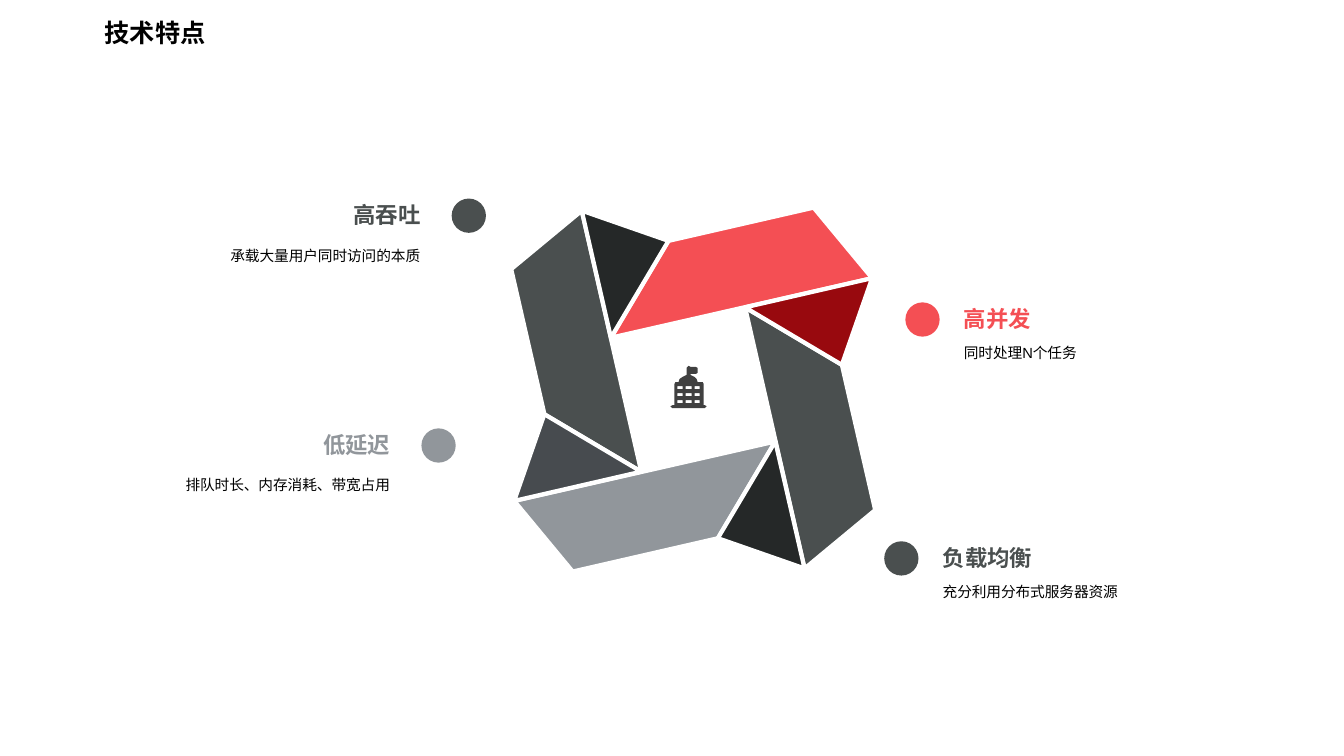
from dataclasses import dataclass
from itertools import product

from lxml import etree
from pptx import Presentation
from pptx.dml.color import RGBColor
from pptx.enum.shapes import MSO_SHAPE
from pptx.enum.text import MSO_ANCHOR, PP_ALIGN
from pptx.oxml.ns import qn
from pptx.util import Inches, Pt

OVAL = MSO_SHAPE.OVAL
TOP, MIDDLE, BOTTOM = MSO_ANCHOR.TOP, MSO_ANCHOR.MIDDLE, MSO_ANCHOR.BOTTOM
LEFT, RIGHT = PP_ALIGN.LEFT, PP_ALIGN.RIGHT


@dataclass(frozen=True)
class Theme:
    """Colours, fonts and type sizes of the slide."""

    red: str = "F44F54"
    dark_red: str = "98090E"
    slate: str = "4A4F4F"
    dark_slate: str = "252828"
    grey: str = "91969B"
    dark_grey: str = "474B4F"
    icon: str = "404040"
    white: str = "FFFFFF"
    black: str = "000000"
    font: str = "Arial"
    chinese_font: str = "Noto Sans CJK SC"
    title_size: float = 18
    heading_size: float = 16
    body_size: float = 10.5
    edge: float = 3


class Painter:
    """Draws styled elements on the current page."""

    def __init__(self, page, theme):
        """Keep the page and the theme."""
        self.page = page
        self.theme = theme

    def paint(self, shape, fill, edge=None):
        """Give a shape a flat fill and an optional outline."""
        shape.shadow.inherit = False
        shape.fill.solid()
        shape.fill.fore_color.rgb = RGBColor.from_string(fill)
        if edge is None:
            shape.line.fill.background()
        else:
            shape.line.color.rgb = RGBColor.from_string(edge)
            shape.line.width = Pt(self.theme.edge)

    def outline(self, contours, fill, edge=None):
        """Draw closed contours as one freeform."""
        contours = [[(Inches(x), Inches(y)) for x, y in contour] for contour in contours]
        first, *holes = contours
        builder = self.page.shapes.build_freeform(*first[0])
        builder.add_line_segments(first[1:], close=True)
        for hole in holes:
            builder.move_to(*hole[0])
            builder.add_line_segments(hole[1:], close=True)
        self.paint(builder.convert_to_shape(), fill, edge)

    def dot(self, left, top, fill):
        """Draw a round marker."""
        size = Inches(0.34)
        self.paint(self.page.shapes.add_shape(OVAL, Inches(left), Inches(top), size, size), fill)

    def text(self, words, place, size, colour, insets=(0, 0, 0, 0), bold=False,
             align=LEFT, anchor=TOP, spacing=1.0, font=None):
        """Write one paragraph in a text box."""
        box = self.page.shapes.add_textbox(*map(Inches, place))
        frame = box.text_frame
        frame.word_wrap = True
        frame.vertical_anchor = anchor
        frame.margin_left, frame.margin_top, frame.margin_right, frame.margin_bottom = map(Inches, insets)
        para = frame.paragraphs[0]
        para.alignment = align
        para.line_spacing = spacing
        span = para.add_run()
        span.text = words
        span.font.size = Pt(size)
        span.font.bold = bold
        span.font.color.rgb = RGBColor.from_string(colour)
        span.font.name = font or self.theme.font
        east_asian = etree.SubElement(span.font._element, qn("a:ea"))
        east_asian.set("typeface", self.theme.chinese_font)

    def right_feature(self, left, top, heading, body, colour):
        """Draw a marker with its text on the right."""
        theme = self.theme
        self.dot(left, top, colour)
        self.text(heading, (left + 0.34, top - 0.12, 2.66, 0.41), theme.heading_size, colour,
                  (0.24, 0, 0, 0), bold=True, anchor=BOTTOM)
        self.text(body, (left + 0.34, top + 0.3, 2.66, 0.79), theme.body_size, theme.black,
                  (0.24, 0.08, 0, 0), spacing=1.2)

    def left_feature(self, left, top, heading, body, colour):
        """Draw a marker with its text on the left."""
        theme = self.theme
        self.dot(left + 2.47, top, colour)
        self.text(heading, (left, top, 2.47, 0.32), theme.heading_size, colour,
                  (0, 0, 0.31, 0), bold=True, align=RIGHT, anchor=MIDDLE)
        self.text(body, (left, top + 0.32, 2.47, 0.61), theme.body_size, theme.black,
                  (0, 0.12, 0.31, 0), align=RIGHT, spacing=1.2)

    def ring(self):
        """Draw the folded ring, whose halves mirror through its centre."""
        theme = self.theme
        side_band = [(8.35, 3.62), (7.39, 3.05), (7.98, 5.64), (8.68, 5.06)]
        top_band = [(6.63, 2.39), (6.06, 3.35), (8.65, 2.76), (8.07, 2.06)]
        top_fold = [(5.77, 2.09), (6.63, 2.39), (6.06, 3.35)]
        side_fold = [(8.65, 2.76), (8.35, 3.62), (7.39, 3.05)]
        pieces = [
            (side_band, theme.slate, theme.slate),
            (top_band, theme.red, theme.grey),
            (top_fold, theme.dark_slate, theme.dark_slate),
            (side_fold, theme.dark_red, theme.dark_grey),
        ]
        for points, fill, turned_fill in pieces:
            turned = [(13.75 - x, 7.73 - y) for x, y in points]
            self.outline([points], fill, theme.white)
            self.outline([turned], turned_fill, theme.white)

    def building(self):
        """Draw the domed building with its flag and windows."""
        walls = [
            (6.99, 4.02), (6.98, 4.02), (6.98, 3.81), (6.97, 3.79), (6.92, 3.79),
            (6.91, 3.76), (6.89, 3.74), (6.85, 3.72), (6.85, 3.71), (6.9, 3.71),
            (6.92, 3.7), (6.92, 3.65), (6.9, 3.64), (6.85, 3.64), (6.83, 3.63),
            (6.81, 3.65), (6.81, 3.72), (6.77, 3.74), (6.74, 3.76), (6.73, 3.79),
            (6.7, 3.79), (6.69, 3.81), (6.69, 4.02), (6.67, 4.02), (6.65, 4.03),
            (6.67, 4.05), (6.99, 4.05), (7.01, 4.03),
        ]
        columns = [(6.72, 6.77), (6.8, 6.86), (6.89, 6.94)]
        rows = [(3.83 + 0.07 * row, 3.86 + 0.07 * row) for row in range(3)]
        windows = [
            [(left, top), (left, bottom), (right, bottom), (right, top)]
            for (left, right), (top, bottom) in product(columns, rows)
        ]
        self.outline([walls, *windows], self.theme.icon)


def main():
    """Build the slide and save it."""
    theme = Theme()
    deck = Presentation()
    deck.slide_width, deck.slide_height = Inches(13.33), Inches(7.5)
    painter = Painter(deck.slides.add_slide(deck.slide_layouts[6]), theme)
    painter.ring()
    painter.building()
    painter.right_feature(8.98, 3, "高并发", "同时处理N个任务", theme.red)
    painter.right_feature(8.77, 5.37, "负载均衡", "充分利用分布式服务器资源", theme.slate)
    painter.left_feature(2.01, 1.97, "高吞吐", "承载大量用户同时访问的本质", theme.slate)
    painter.left_feature(1.71, 4.25, "低延迟", "排队时长、内存消耗、带宽占用", theme.grey)
    painter.text("技术特点", (0.94, 0.03, 3.56, 0.49), theme.title_size, theme.black,
                 (0.1, 0.05, 0.1, 0.05), bold=True, spacing=1.3, font=theme.chinese_font)
    deck.save("out.pptx")


if __name__ == "__main__":
    main()
